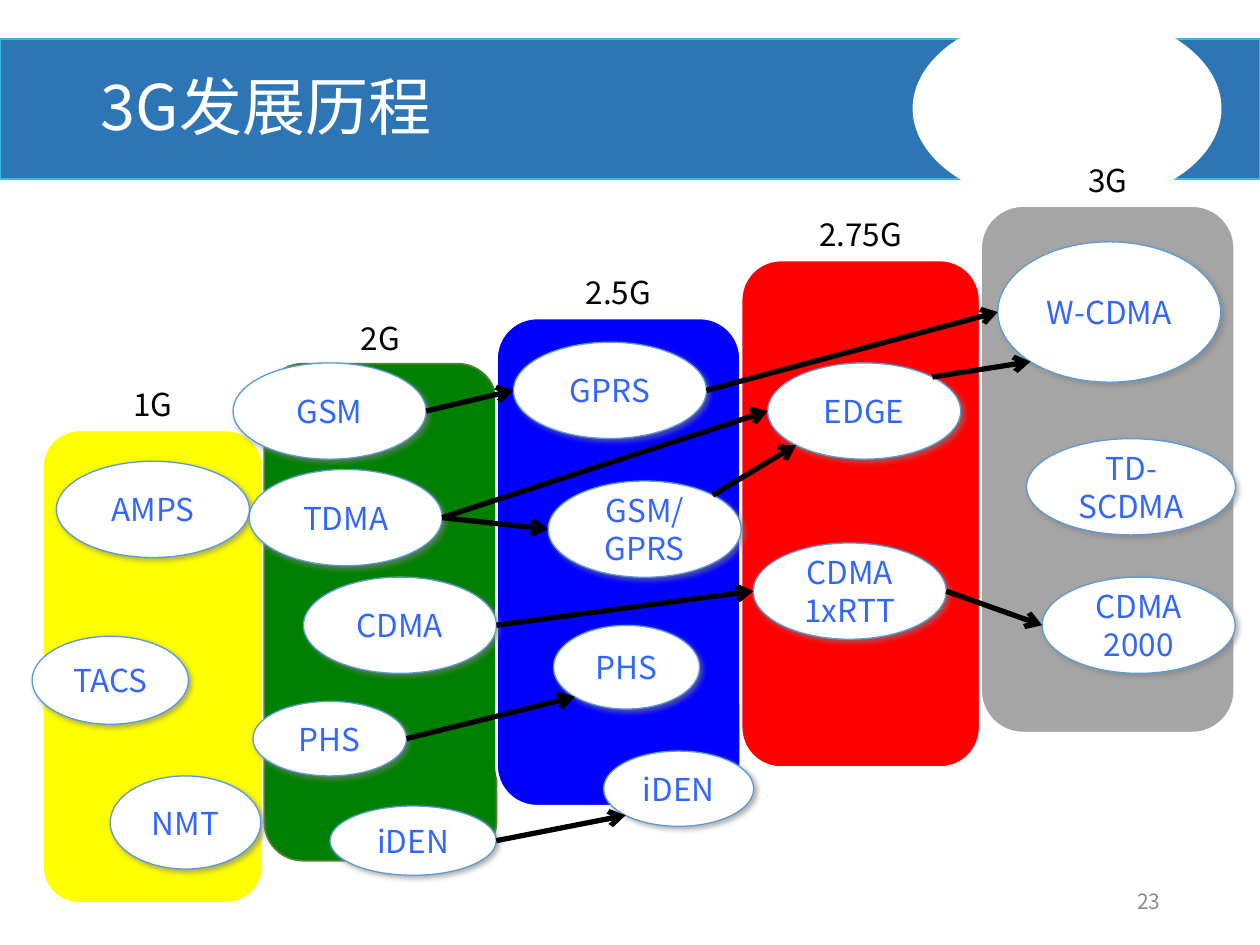
from math import cos, radians, sin
from typing import NamedTuple

from lxml import etree
from pptx import Presentation
from pptx.dml.color import RGBColor
from pptx.enum.shapes import MSO_CONNECTOR, MSO_SHAPE
from pptx.enum.text import MSO_ANCHOR, MSO_AUTO_SIZE, PP_ALIGN
from pptx.oxml.ns import qn
from pptx.util import Pt

RECTANGLE, ROUNDED, OVAL = MSO_SHAPE.RECTANGLE, MSO_SHAPE.ROUNDED_RECTANGLE, MSO_SHAPE.OVAL
STRAIGHT = MSO_CONNECTOR.STRAIGHT
MIDDLE, TOP = MSO_ANCHOR.MIDDLE, MSO_ANCHOR.TOP
LEFT, CENTER, RIGHT = PP_ALIGN.LEFT, PP_ALIGN.CENTER, PP_ALIGN.RIGHT
NO_AUTOFIT = MSO_AUTO_SIZE.NONE

WHITE = RGBColor(0xFF, 0xFF, 0xFF)
BLACK = RGBColor(0x00, 0x00, 0x00)
HEADER_BLUE = RGBColor(0x2E, 0x75, 0xB6)
HEADER_EDGE = RGBColor(0x3B, 0xB8, 0xE6)
YELLOW = RGBColor(0xFF, 0xFF, 0x00)
GREEN = RGBColor(0x00, 0x80, 0x00)
DARK_GREEN = RGBColor(0x53, 0x80, 0x35)
BLUE = RGBColor(0x00, 0x00, 0xFF)
RED = RGBColor(0xFF, 0x00, 0x00)
GRAY = RGBColor(0xA5, 0xA5, 0xA5)
NUMBER_GRAY = RGBColor(0x8C, 0x8C, 0x8C)
OVAL_EDGE = RGBColor(0x5B, 0x9B, 0xD5)
OVAL_TEXT = RGBColor(0x33, 0x66, 0xFF)
SHADOW_GRAY = RGBColor(0x80, 0x80, 0x80)
FONT = "Noto Sans CJK SC"


class Box(NamedTuple):
    left: float
    top: float
    width: float
    height: float


class Generation(NamedTuple):
    label: str
    box: Box
    fill: RGBColor
    edge: RGBColor = WHITE
    edge_width: float = 1.5


class Technology(NamedTuple):
    text: str
    box: Box


class Evolution(NamedTuple):
    source: str
    target: str
    source_angle: int = 0
    target_angle: int = 180


GENERATIONS = [
    Generation("1G", Box(24.2, 245.7, 126.2, 270.5), YELLOW),
    Generation("2G", Box(151, 207.8, 132.7, 284), GREEN, DARK_GREEN, 1),
    Generation("2.5G", Box(283.7, 181.7, 139.5, 279), BLUE),
    Generation("2.75G", Box(423.5, 148.6, 136.6, 290), RED),
    Generation("3G", Box(560.4, 117.5, 145.2, 301.4), GRAY),
]
LABEL_RISE = 29
LABEL_WIDTH, LABEL_HEIGHT = 120, 29
OVAL_SIZE = (110.3, 55)

TECHNOLOGIES = {
    "amps": Technology("AMPS", Box(32.2, 263.6, *OVAL_SIZE)),
    "tacs": Technology("TACS", Box(18.4, 363.6, 89.3, 50.3)),
    "nmt": Technology("NMT", Box(63, 443.4, 86, 53.2)),
    "gsm": Technology("GSM", Box(133.2, 207.4, *OVAL_SIZE)),
    "tdma": Technology("TDMA", Box(142.4, 268.3, *OVAL_SIZE)),
    "cdma": Technology("CDMA", Box(173.4, 329.8, *OVAL_SIZE)),
    "phs_2g": Technology("PHS", Box(144.5, 400.8, 87.8, 42.6)),
    "iden_2g": Technology("iDEN", Box(188.6, 460.6, 95, 39.6)),
    "gprs": Technology("GPRS", Box(293.4, 195.6, *OVAL_SIZE)),
    "gsm_gprs": Technology("GSM/GPRS", Box(313.2, 274.9, *OVAL_SIZE)),
    "phs_25g": Technology("PHS", Box(316.3, 357.4, 83.5, 47.8)),
    "iden_25g": Technology("iDEN", Box(344.9, 429.2, 85.8, 43)),
    "edge": Technology("EDGE", Box(438.7, 207.4, *OVAL_SIZE)),
    "cdma_1x": Technology("CDMA 1xRTT", Box(430.4, 310.3, *OVAL_SIZE)),
    "w_cdma": Technology("W-CDMA", Box(570.2, 138.2, 127.4, 80.2)),
    "td_scdma": Technology("TD-SCDMA", Box(586.6, 250.7, 119.4, 55)),
    "cdma_2000": Technology("CDMA 2000", Box(595.5, 329.8, *OVAL_SIZE)),
}

EVOLUTIONS = [
    Evolution("cdma", "cdma_1x"),
    Evolution("phs_2g", "phs_25g", target_angle=135),
    Evolution("iden_2g", "iden_25g", target_angle=135),
    Evolution("tdma", "edge"),
    Evolution("tdma", "gsm_gprs"),
    Evolution("gsm", "gprs"),
    Evolution("gprs", "w_cdma"),
    Evolution("edge", "w_cdma", -45, 135),
    Evolution("cdma_1x", "cdma_2000"),
    Evolution("gsm_gprs", "edge", -45, 135),
]


def set_text(shape, text: str, size: float, color: RGBColor,
             alignment=CENTER, anchor=MIDDLE) -> None:
    frame = shape.text_frame
    frame_format = {"word_wrap": True, "auto_size": NO_AUTOFIT, "vertical_anchor": anchor}
    for name, value in frame_format.items():
        setattr(frame, name, value)
    paragraph = frame.paragraphs[0]
    paragraph.alignment = alignment
    run = paragraph.add_run()
    run.text = text
    for name, value in {"size": Pt(size), "name": FONT, "bold": False}.items():
        setattr(run.font, name, value)
    run.font.color.rgb = color
    east_asian = etree.SubElement(run.font._element, qn("a:ea"))
    east_asian.set("typeface", FONT)


def add_text(slide, box: Box, text: str, size: float, color: RGBColor,
             alignment=CENTER, anchor=MIDDLE) -> None:
    shape = slide.shapes.add_textbox(*map(Pt, box))
    set_text(shape, text, size, color, alignment, anchor)


def add_filled(slide, preset, box: Box, fill: RGBColor, edge: RGBColor, edge_width: float):
    shape = slide.shapes.add_shape(preset, *map(Pt, box))
    shape.shadow.inherit = False
    shape.fill.solid()
    shape.fill.fore_color.rgb = fill
    shape.line.color.rgb = edge
    shape.line.width = Pt(edge_width)
    return shape


def add_header(slide) -> None:
    add_filled(slide, RECTANGLE, Box(0, 22.4, 720, 80), HEADER_BLUE, HEADER_EDGE, 1)
    add_filled(slide, OVAL, Box(522, 6.5, 175.5, 111), WHITE, WHITE, 1)
    title = slide.shapes.title
    for name, value in zip(Box._fields, Box(50.4, 23.8, 458, 78.5)):
        setattr(title, name, Pt(value))
    set_text(title, "3G发展历程", 36, WHITE, LEFT)
    title.text_frame.paragraphs[0].line_spacing = 0.9
    slide.shapes._spTree.append(title._element)


def add_generation(slide, generation: Generation) -> None:
    box = generation.box
    add_filled(slide, ROUNDED, box, generation.fill, generation.edge, generation.edge_width)
    label_left = box.left + (box.width - LABEL_WIDTH) / 2
    label_box = Box(label_left, box.top - LABEL_RISE, LABEL_WIDTH, LABEL_HEIGHT)
    add_text(slide, label_box, generation.label, 18, BLACK, anchor=TOP)


def add_technology(slide, technology: Technology) -> None:
    shape = add_filled(slide, OVAL, technology.box, WHITE, OVAL_EDGE, 0.75)
    set_text(shape, technology.text, 18, OVAL_TEXT)
    effects = shape._element.spPr.find(qn("a:effectLst"))
    shadow = etree.SubElement(effects, qn("a:outerShdw"), blurRad=str(Pt(3)),
                              dist=str(Pt(2)), dir="2700000", rotWithShape="0")
    color = etree.SubElement(shadow, qn("a:srgbClr"), val=str(SHADOW_GRAY))
    etree.SubElement(color, qn("a:alpha"), val="60000")


def rim_point(box: Box, angle: int) -> tuple[int, int]:
    horizontal = box.left + box.width / 2 * (1 + cos(radians(angle)))
    vertical = box.top + box.height / 2 * (1 + sin(radians(angle)))
    return Pt(horizontal), Pt(vertical)


def add_evolution(slide, evolution: Evolution) -> None:
    start = rim_point(TECHNOLOGIES[evolution.source].box, evolution.source_angle)
    end = rim_point(TECHNOLOGIES[evolution.target].box, evolution.target_angle)
    connector = slide.shapes.add_connector(STRAIGHT, *start, *end)
    connector.line.color.rgb = BLACK
    connector.line.width = Pt(3)
    properties = connector._element.spPr
    etree.SubElement(properties.find(qn("a:ln")), qn("a:tailEnd"), type="arrow")
    etree.SubElement(properties, qn("a:effectLst"))


def main() -> None:
    presentation = Presentation()
    presentation.slide_width, presentation.slide_height = Pt(720), Pt(540)
    slide = presentation.slides.add_slide(presentation.slide_layouts[5])
    slide.background.fill.solid()
    slide.background.fill.fore_color.rgb = WHITE
    add_header(slide)
    add_text(slide, Box(508.3, 500.4, 162, 28.8), "23", 12, NUMBER_GRAY, RIGHT)
    for generation in GENERATIONS:
        add_generation(slide, generation)
    for technology in TECHNOLOGIES.values():
        add_technology(slide, technology)
    for evolution in EVOLUTIONS:
        add_evolution(slide, evolution)
    presentation.save("out.pptx")


if __name__ == "__main__":
    main()
